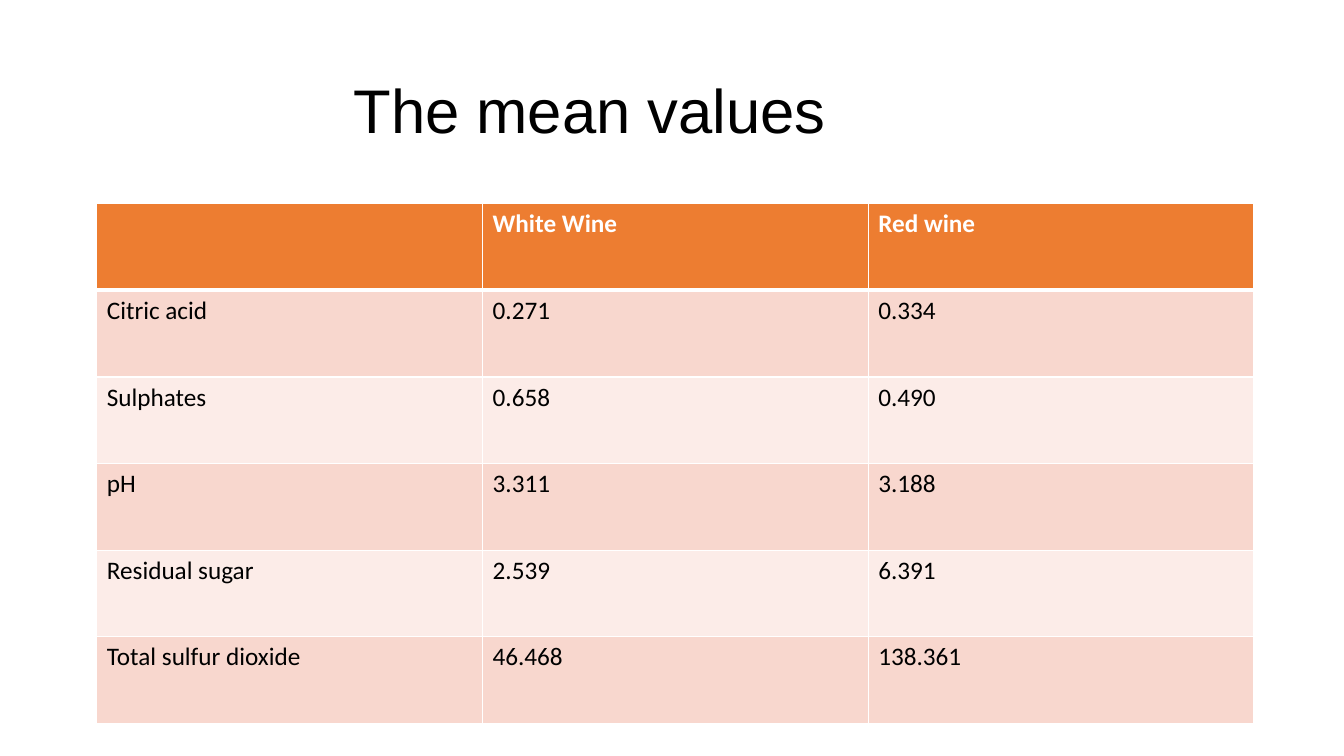
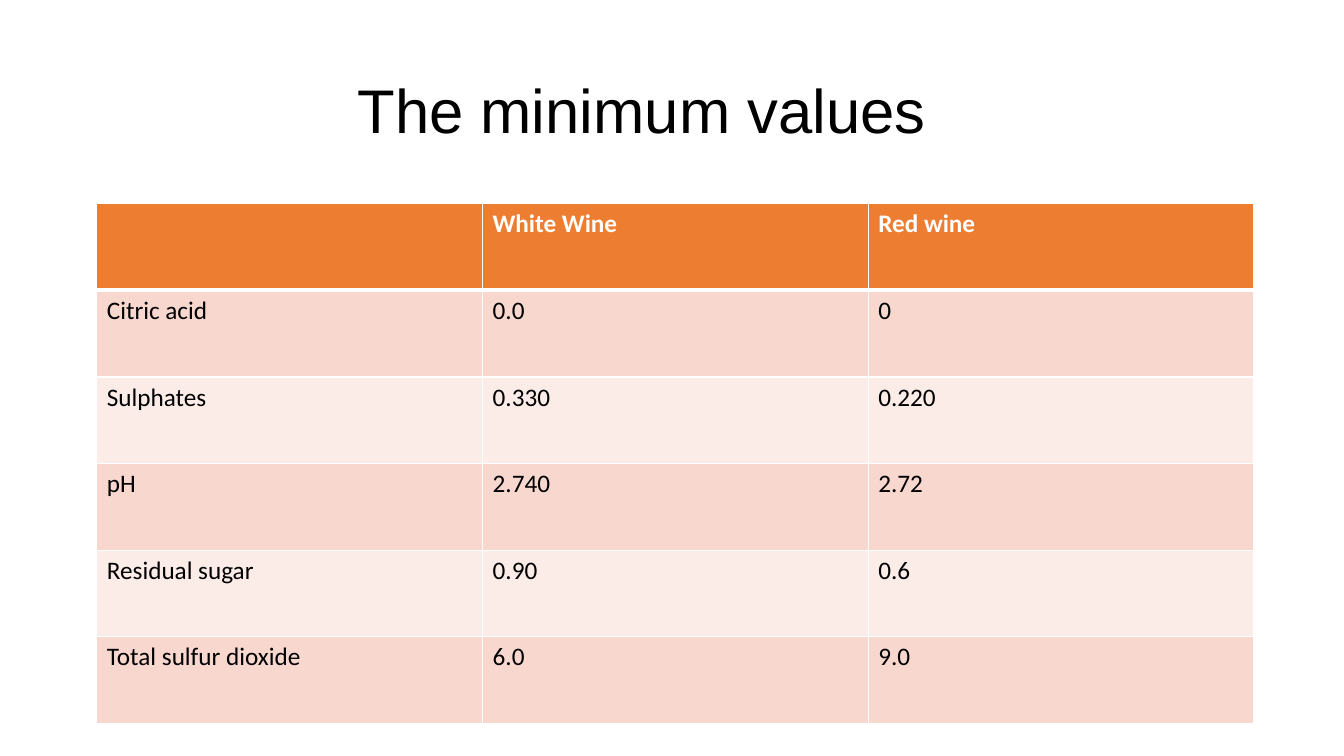
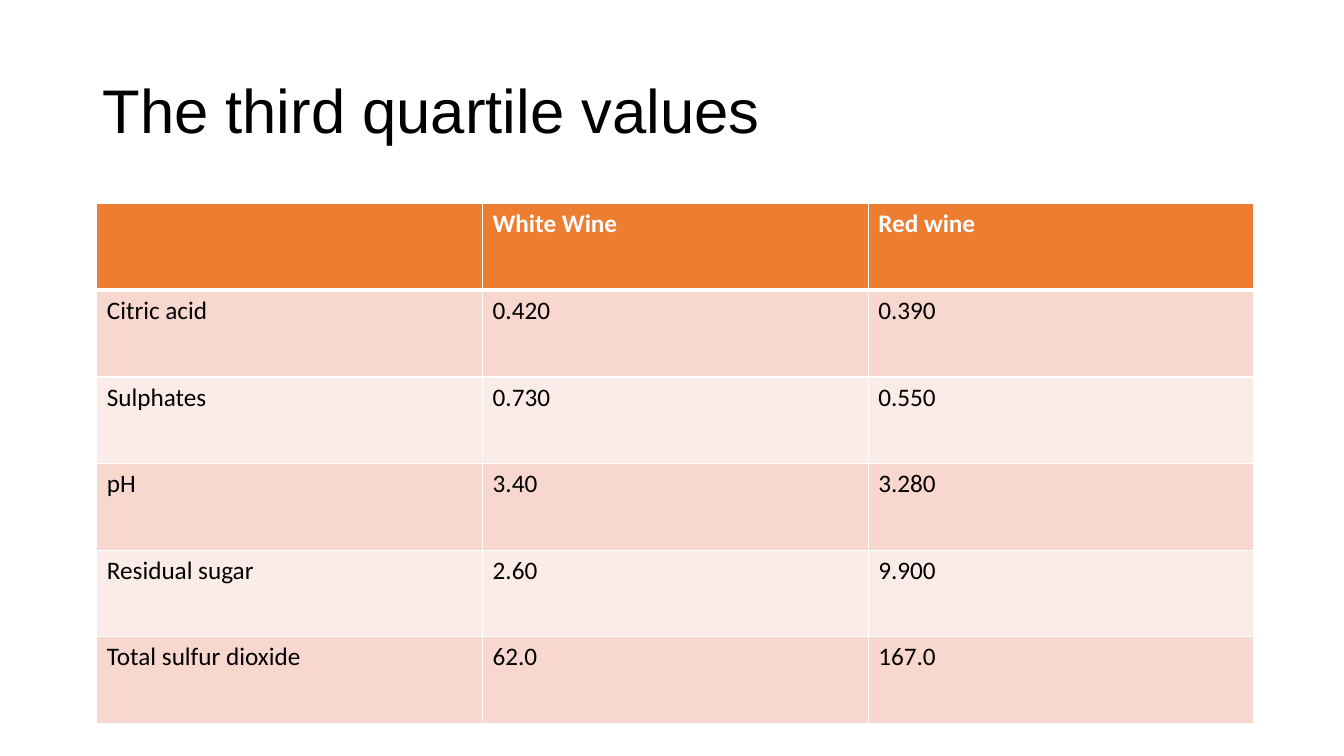
import dataclasses

import pptx
import pptx.dml.color
import pptx.enum.text
import pptx.oxml
import pptx.oxml.ns
import pptx.presentation
import pptx.slide
import pptx.table
import pptx.text.text
import pptx.util

Pt = pptx.util.Pt

# Shared look
HUES = {"head": "ED7D31", "odd": "F8D7CE", "even": "FCECE8",
        "ink": "000000", "white": "FFFFFF"}
TITLE = {"left": Pt(66), "top": Pt(28.8), "width": Pt(828), "height": Pt(104.4)}
FRAME = {"auto_size": pptx.enum.text.MSO_AUTO_SIZE.NONE, "word_wrap": True,
         "vertical_anchor": pptx.enum.text.MSO_ANCHOR.MIDDLE}
LINE = {"alignment": pptx.enum.text.PP_ALIGN.LEFT, "line_spacing": 0.9}
BIG = {"name": "Arial", "size": Pt(44), "bold": False}
HEAD = {"name": "Calibri", "size": Pt(18), "bold": True}
BODY = {**HEAD, "bold": False}

# Table grid
LEFT, TOP = 69.2, 145.5
COL, ROW = 275.5, 61.9
INSET = 7.2
THIN, THICK = 1, 3
NAMES = ("", "White Wine", "Red wine")
TRAITS = ("Citric acid", "Sulphates", "pH", "Residual sugar",
          "Total sulfur dioxide")


@dataclasses.dataclass
class Page:
    title: str
    indent: float
    white: tuple[str, ...]
    red: tuple[str, ...]


PAGES = (
    Page("The mean values", 179.3,
         ("0.271", "0.658", "3.311", "2.539", "46.468"),
         ("0.334", "0.490", "3.188", "6.391", "138.361")),
    Page("The minimum values", 182.2,
         ("0.0", "0.330", "2.740", "0.90", "6.0"),
         ("0", "0.220", "2.72", "0.6", "9.0")),
    Page("The third quartile values", 0,
         ("0.420", "0.730", "3.40", "2.60", "62.0"),
         ("0.390", "0.550", "3.280", "9.900", "167.0")),
)


def apply(target: object, values: dict) -> None:
    for key, value in values.items():
        setattr(target, key, value)


def style(font: pptx.text.text.Font, values: dict, hue: str) -> None:
    apply(font, values)
    font.color.rgb = pptx.dml.color.RGBColor.from_string(HUES[hue])


def add_title(slide: pptx.slide.Slide, page: Page) -> None:
    shape = slide.shapes.title
    apply(shape, TITLE)
    frame = shape.text_frame
    frame.text = page.title
    apply(frame, FRAME)
    frame.margin_left = Pt(INSET + page.indent)
    para = frame.paragraphs[0]
    apply(para, LINE)
    style(para.runs[0].font, BIG, "ink")


def add_edges(cell: pptx.table._Cell, row: int) -> None:
    props = cell._tc.get_or_add_tcPr()
    # The heavy rule lies between the header and the first body row
    edges = {"L": THIN, "R": THIN,
             "T": THICK if row == 1 else THIN,
             "B": THICK if row == 0 else THIN}
    for side, width in edges.items():
        props.append(pptx.oxml.parse_xml(
            f'<a:ln{side} {pptx.oxml.ns.nsdecls("a")} w="{Pt(width)}">'
            f'<a:solidFill><a:srgbClr val="{HUES["white"]}"/></a:solidFill>'
            f'</a:ln{side}>'))


def add_grid(slide: pptx.slide.Slide, page: Page) -> None:
    rows = (NAMES, *zip(TRAITS, page.white, page.red))
    table = slide.shapes.add_table(
        len(rows), len(NAMES), Pt(LEFT), Pt(TOP),
        Pt(COL * len(NAMES)), Pt(ROW * len(rows))).table
    table.horz_banding = False
    for r, texts in enumerate(rows):
        hue = "head" if r == 0 else "odd" if r % 2 else "even"
        for c, text in enumerate(texts):
            cell = table.cell(r, c)
            add_edges(cell, r)
            cell.fill.solid()
            cell.fill.fore_color.rgb = pptx.dml.color.RGBColor.from_string(HUES[hue])
            cell.text = text
            for run in cell.text_frame.paragraphs[0].runs:
                style(run.font, BODY if r else HEAD, "ink" if r else "white")


def main() -> None:
    deck = pptx.Presentation()
    deck.slide_width, deck.slide_height = Pt(960), Pt(540)
    for page in PAGES:
        slide = deck.slides.add_slide(deck.slide_layouts[5])
        add_title(slide, page)
        add_grid(slide, page)
    deck.save("out.pptx")


if __name__ == "__main__":
    main()
